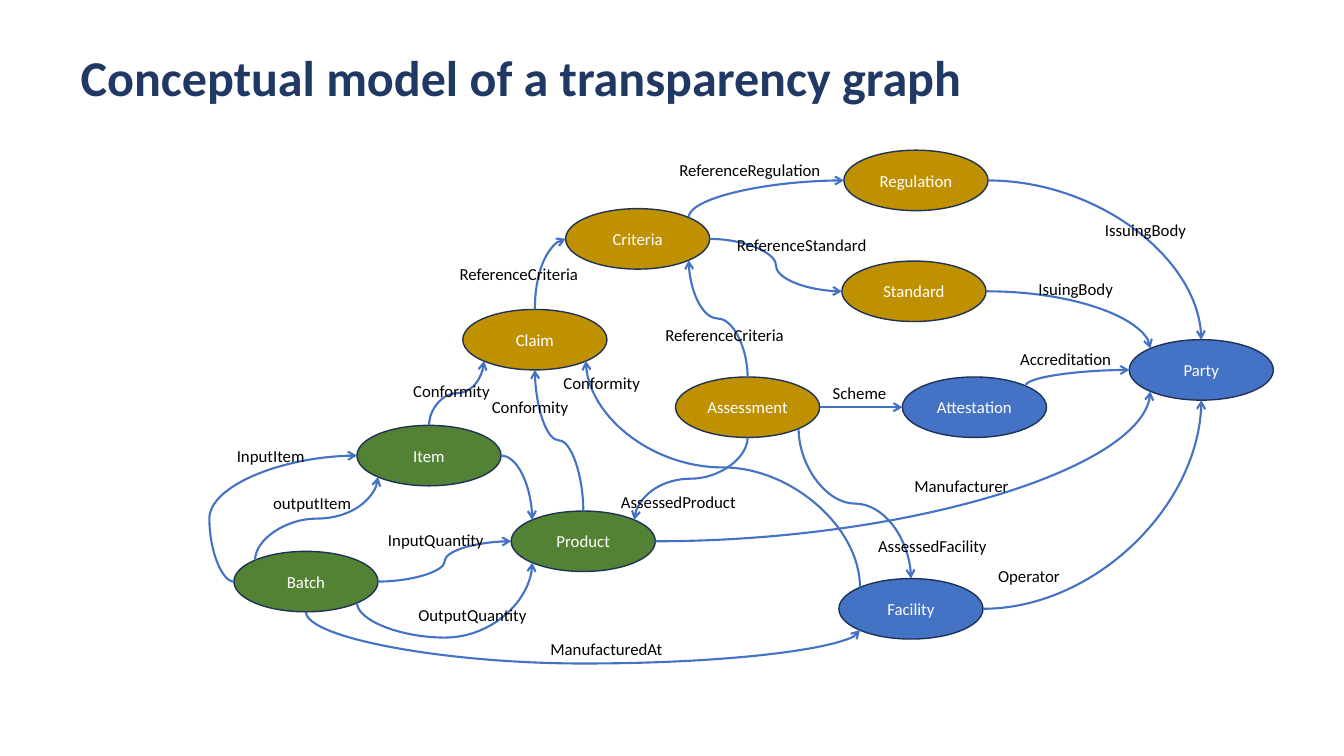
from math import cos, pi, sin

from lxml import etree
from pptx import Presentation
from pptx.dml.color import RGBColor
from pptx.enum.shapes import MSO_CONNECTOR, MSO_SHAPE
from pptx.enum.text import MSO_ANCHOR, MSO_AUTO_SIZE, PP_ALIGN
from pptx.oxml.ns import qn
from pptx.util import Inches, Pt

CURVE = MSO_CONNECTOR.CURVE
OVAL = MSO_SHAPE.OVAL
TOP, MIDDLE = MSO_ANCHOR.TOP, MSO_ANCHOR.MIDDLE
LEFT, CENTER = PP_ALIGN.LEFT, PP_ALIGN.CENTER
GROW, FIXED = MSO_AUTO_SIZE.SHAPE_TO_FIT_TEXT, MSO_AUTO_SIZE.NONE

NODE_W, NODE_H = 1.43, 0.6
GOLD, GREEN, BLUE = "BF9000", "548235", "4472C4"
N, NW, W, SW, S, SE, E, NE = range(8)

NODES = [
    ("Facility", 8.32, 5.74, BLUE),
    ("Attestation", 8.95, 3.74, BLUE),
    ("Party", 11.2, 3.37, BLUE),
    ("Product", 5.07, 5.07, GREEN),
    ("Item", 3.54, 4.22, GREEN),
    ("Batch", 2.32, 5.47, GREEN),
    ("Claim", 4.59, 3.07, GOLD),
    ("Assessment", 6.7, 3.74, GOLD),
    ("Criteria", 5.61, 2.07, GOLD),
    ("Regulation", 8.37, 1.49, GOLD),
    ("Standard", 8.35, 2.59, GOLD),
]

EDGES = [
    ("Criteria", NE, "Regulation", W, 0.5),
    ("Claim", N, "Criteria", W, 0.5),
    ("Product", N, "Claim", S, 0.5),
    ("Assessment", S, "Product", NE, 0.5),
    ("Assessment", N, "Criteria", SE, 0.5),
    ("Criteria", E, "Standard", W, 0.5),
    ("Assessment", E, "Attestation", W, 0.5),
    ("Attestation", NE, "Party", W, 0.5),
    ("Regulation", E, "Party", N, 0.5),
    ("Standard", E, "Party", NW, 0.5),
    ("Item", N, "Claim", SW, 0.5),
    ("Item", E, "Product", NW, 0.5),
    ("Batch", SE, "Product", SW, -0.86),
    ("Batch", E, "Product", W, 0.5),
    ("Batch", W, "Item", W, -0.2),
    ("Batch", NW, "Item", SW, 0.5),
    ("Batch", S, "Facility", SW, 2.81),
    ("Facility", E, "Party", S, 0.5),
    ("Assessment", SE, "Facility", N, 0.5),
    ("Product", E, "Party", SW, 0.5),
    ("Facility", NW, "Claim", SE, 0.53),
]

LABELS = [
    ("IssuingBody", 10.86, 2.13, 1.01),
    ("Accreditation", 10.02, 3.41, 1.11),
    ("IsuingBody", 10.2, 2.72, 0.95),
    ("Manufacturer", 8.97, 4.67, 1.14),
    ("Operator", 9.8, 5.56, 0.82),
    ("AssessedFacility", 8.61, 5.27, 1.29),
    ("AssessedProduct", 6.06, 4.83, 1.36),
    ("ReferenceRegulation", 6.64, 1.54, 1.62),
    ("ReferenceStandard", 7.21, 2.28, 1.5),
    ("ReferenceCriteria", 4.46, 2.57, 1.39),
    ("ReferenceCriteria", 6.5, 3.17, 1.39),
    ("Conformity", 4, 3.73, 0.97),
    ("InputItem", 2.25, 4.37, 0.88),
    ("InputQuantity", 3.75, 5.21, 1.16),
    ("outputItem", 2.61, 4.84, 0.98),
    ("OutputQuantity", 4.05, 5.95, 1.28),
    ("ManufacturedAt", 5.36, 6.29, 1.32),
    ("Conformity", 4.78, 3.89, 0.97),
    ("Conformity", 5.49, 3.65, 0.97),
    ("Scheme", 8.16, 3.75, 0.74),
]


def paint(part, color):
    part.rgb = RGBColor.from_string(color)


def write(shape, text, size=12, color="000000", bold=False, align=LEFT,
          anchor=TOP, fit=GROW):
    frame = shape.text_frame
    frame.word_wrap = False
    frame.auto_size = fit
    frame.vertical_anchor = anchor
    para = frame.paragraphs[0]
    para.alignment = align
    run = para.add_run()
    run.text = text
    run.font.name = "Calibri"
    run.font.size = Pt(size)
    run.font.bold = bold
    paint(run.font.color, color)


def add_title(slide, text):
    title = slide.shapes.title
    title.left, title.top = Inches(0.7), Inches(0.41)
    title.width, title.height = Inches(9.01), Inches(0.7)
    write(title, text, size=35.8, color="203864", bold=True)


def add_node(slide, name, x, y, color):
    node = slide.shapes.add_shape(
        OVAL, Inches(x), Inches(y), Inches(NODE_W), Inches(NODE_H))
    node.shadow.inherit = False
    node.fill.solid()
    paint(node.fill.fore_color, color)
    paint(node.line.color, "1E3256")
    node.line.width = Pt(1)
    write(node, name, color="FFFFFF", align=CENTER, anchor=MIDDLE, fit=FIXED)
    return node


def find_port(node, site):
    turn = pi / 2 + site * pi / 4
    x = node.left + node.width / 2 * (1 + cos(turn))
    y = node.top + node.height / 2 * (1 - sin(turn))
    return round(x), round(y)


def add_curve(slide, start, end, flat, bend):
    (x1, y1), (x2, y2) = start, end
    wide, high = abs(x2 - x1), abs(y2 - y1)
    right, rise = x2 > x1, y2 < y1
    if flat:
        turn, flip = 0, not right
    else:
        turn, flip = (90 if right == rise else 270), right
        wide, high = high, wide
    x, y = (x1 + x2 - wide) // 2, (y1 + y2 - high) // 2
    xs, ys = (x, x + wide), (y, y + high)
    curve = slide.shapes.add_connector(
        CURVE, xs[flip], ys[rise], xs[not flip], ys[not rise])
    curve.rotation = turn
    geom = curve._element.spPr.find(qn("a:prstGeom"))
    if bend is None:
        geom.set("prst", "curvedConnector2")
    else:
        guide = etree.SubElement(geom.find(qn("a:avLst")), qn("a:gd"))
        guide.set("name", "adj1")
        guide.set("fmla", f"val {round(bend * 100000)}")
    return curve


def add_edge(slide, tail, site, head, goal, bend):
    flat = site in (W, E)
    same = flat == (goal in (W, E))
    edge = add_curve(slide, find_port(tail, site), find_port(head, goal),
                     flat, bend if same else None)
    paint(edge.line.color, BLUE)
    edge.line.width = Pt(1.5)
    props = edge._element.spPr
    etree.SubElement(props.find(qn("a:ln")), qn("a:tailEnd")).set("type", "arrow")
    etree.SubElement(props, qn("a:effectLst"))
    links = edge._element.find(".//" + qn("p:cNvCxnSpPr"))
    for tag, node, port in (("a:stCxn", tail, site), ("a:endCxn", head, goal)):
        link = etree.SubElement(links, qn(tag))
        link.set("id", str(node.shape_id))
        link.set("idx", str(port))


def add_label(slide, text, x, y, wide):
    box = slide.shapes.add_textbox(
        Inches(x), Inches(y), Inches(wide), Inches(0.3))
    write(box, text)


def main():
    deck = Presentation()
    deck.slide_width, deck.slide_height = Inches(13.33), Inches(7.5)
    slide = deck.slides.add_slide(deck.slide_layouts[5])
    add_title(slide, "Conceptual model of a transparency graph")
    nodes = {node[0]: add_node(slide, *node) for node in NODES}
    for tail, site, head, goal, bend in EDGES:
        add_edge(slide, nodes[tail], site, nodes[head], goal, bend)
    for label in LABELS:
        add_label(slide, *label)
    deck.save("out.pptx")


if __name__ == "__main__":
    main()
